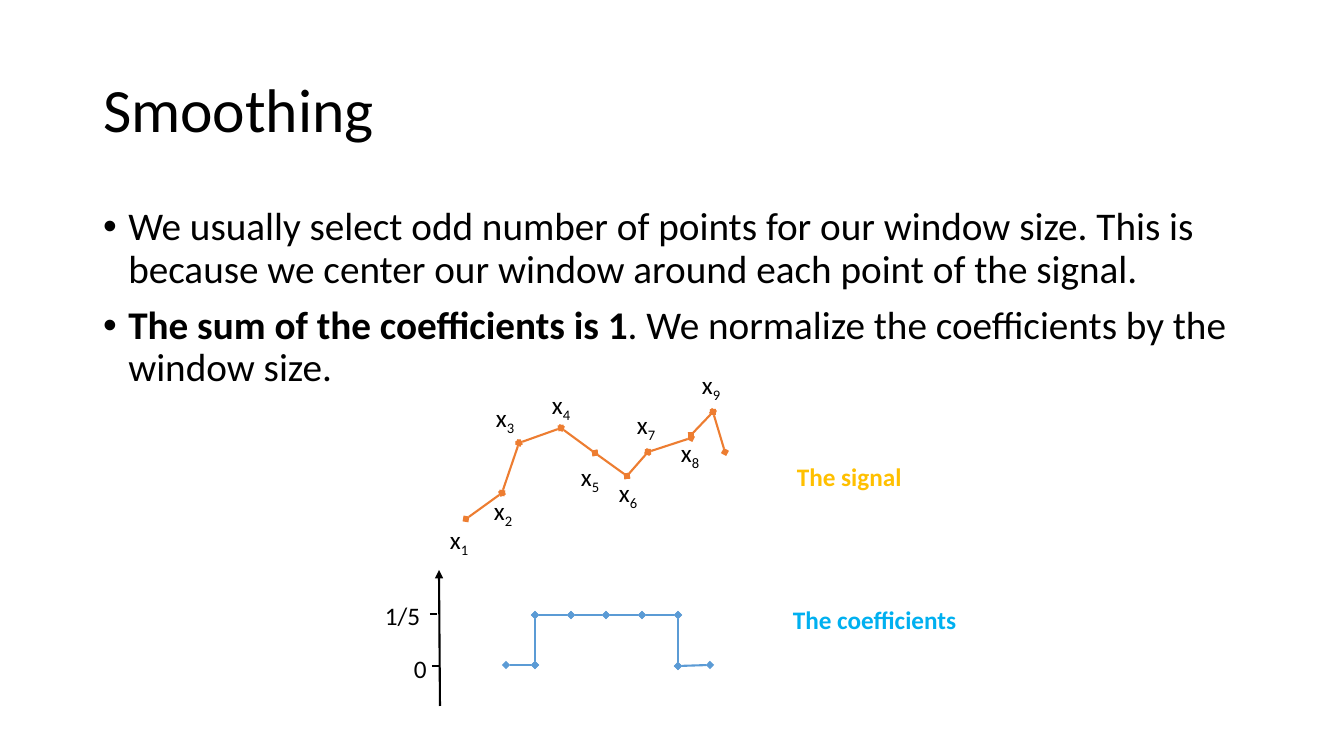
from itertools import pairwise
from lxml import etree
from pptx import Presentation
from pptx.dml.color import RGBColor
from pptx.enum.shapes import MSO_CONNECTOR
from pptx.enum.text import MSO_ANCHOR, MSO_AUTO_SIZE, PP_ALIGN
from pptx.oxml.ns import qn
from pptx.util import Pt

STRAIGHT = MSO_CONNECTOR.STRAIGHT
MIDDLE, TOP = MSO_ANCHOR.MIDDLE, MSO_ANCHOR.TOP
NO_FIT = MSO_AUTO_SIZE.NONE
LEFT = PP_ALIGN.LEFT
SCALE = 914400 / 100.8
BLACK, ORANGE, BLUE, GOLD, CYAN = "000000", "ED7D31", "5B9BD5", "FFC000", "00B0F0"


def px(n):
    return round(n * SCALE)


def rgb(value):
    return RGBColor.from_string(value)


def apply(target, formats):
    for name, value in formats.items():
        setattr(target, name, value)


def add_run(p, text, size=18, color=BLACK, bold=False):
    r = p.add_run()
    r.text = text
    apply(r.font, {"name": "Calibri", "size": Pt(size), "bold": bold})
    r.font.color.rgb = rgb(color)
    return r


def add_label(s, x, y, w, text, sub="", wrap=False, **font):
    tf = s.shapes.add_textbox(px(x), px(y), px(w), px(40)).text_frame
    tf.word_wrap = wrap
    p = tf.paragraphs[0]
    add_run(p, text, **font)
    if sub:
        r = add_run(p, sub, **font)
        r.font._element.set("baseline", "-25000")


def add_line(s, start, end, color=BLACK, head=None, tail=None):
    line = s.shapes.add_connector(STRAIGHT, *map(px, start + end))
    line.line.width = Pt(1.5)
    line.line.color.rgb = rgb(color)
    ln = line.line._get_or_add_ln()
    for tag, kind in (("a:headEnd", head), ("a:tailEnd", tail)):
        if kind:
            etree.SubElement(ln, qn(tag), type=kind)
    etree.SubElement(line._element.spPr, qn("a:effectLst"))


def add_chain(s, left, top, points, color):
    placed = [(left + x, top + y) for x, y in points]
    for start, end in pairwise(placed):
        add_line(s, start, end, color, "diamond", "diamond")


def place(sp, box, anchor):
    apply(sp, dict(zip(("left", "top", "width", "height"), map(px, box))))
    tf = sp.text_frame
    apply(tf, {"word_wrap": True, "auto_size": NO_FIT, "vertical_anchor": anchor})
    return tf


def fill_title(s, box, text):
    p = place(s.shapes.title, box, MIDDLE).paragraphs[0]
    apply(p, {"alignment": LEFT, "line_spacing": 0.9})
    add_run(p, text, 44)


def fill_body(s, box, bullets):
    tf = place(s.placeholders[1], box, TOP)
    for i, parts in enumerate(bullets):
        p = tf.add_paragraph() if i else tf.paragraphs[0]
        apply(p, {"line_spacing": 0.9, "space_before": Pt(10)})
        pPr = p._p.get_or_add_pPr()
        pPr.set("marL", "228600")
        pPr.set("indent", "-228600")
        for text, bold in parts:
            add_run(p, text, 28, bold=bold)


def draw_signal(s, left, top):
    rise = [(26, 155), (62, 129), (79, 79), (121, 64), (155, 89), (187, 112), (208, 88), (251, 74)]
    peak = [(251, 71), (273, 48), (285, 88)]
    labels = [(0, 155), (44, 126), (46, 33), (102, 20), (131, 92), (169, 108), (187, 40), (231, 68), (252, 0)]
    for points in (rise, peak):
        add_chain(s, left, top, points, ORANGE)
    for n, (x, y) in enumerate(labels, 1):
        add_label(s, left + x, top + y, 40, "x", str(n), wrap=True)
    add_label(s, left + 347, top + 92, 126, "The signal", color=GOLD, bold=True)


def draw_coefficients(s, left, top):
    pulse = [(131, 95), (160, 95), (160, 45), (196, 45), (231, 45), (267, 45), (303, 45), (303, 96), (335, 95)]
    add_chain(s, left, top, pulse, BLUE)
    add_line(s, (left + 64, top), (left + 65, top + 136), head="triangle")
    for text, x, y, w, tick_x, tick_y in (("1/5", 0, 25, 57, 55, 44), ("0", 29, 78, 34, 57, 96)):
        add_label(s, left + x, top + y, w, text)
        add_line(s, (left + tick_x, top + tick_y), (left + tick_x + 7, top + tick_y))
    add_label(s, left + 408, top + 29, 185, "The coefficients", color=CYAN, bold=True)


prs = Presentation()
apply(prs, {"slide_width": px(1344), "slide_height": px(756)})
s = prs.slides.add_slide(prs.slide_layouts[1])
fill_title(s, (93, 40, 1159, 146), "Smoothing")
fill_body(s, (93, 202, 1159, 480), [
    [("We usually select odd number of points for our window size. This is because "
      "we center our window around each point of the signal.", False)],
    [("The sum of the coefficients is 1", True),
     (". We normalize the coefficients by the window size.", False)],
])
draw_signal(s, 440, 364)
draw_coefficients(s, 375, 570)
prs.save("out.pptx")
